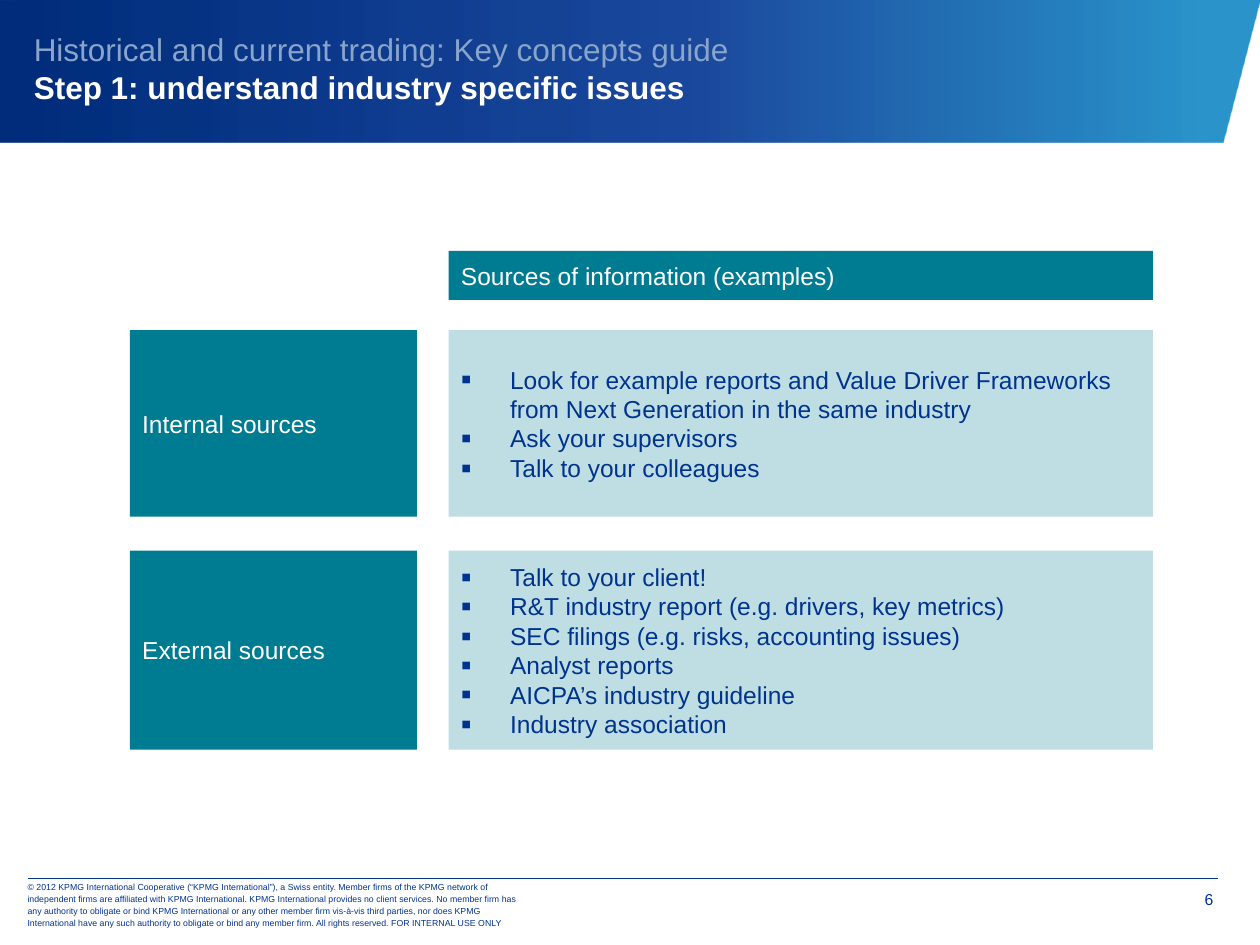
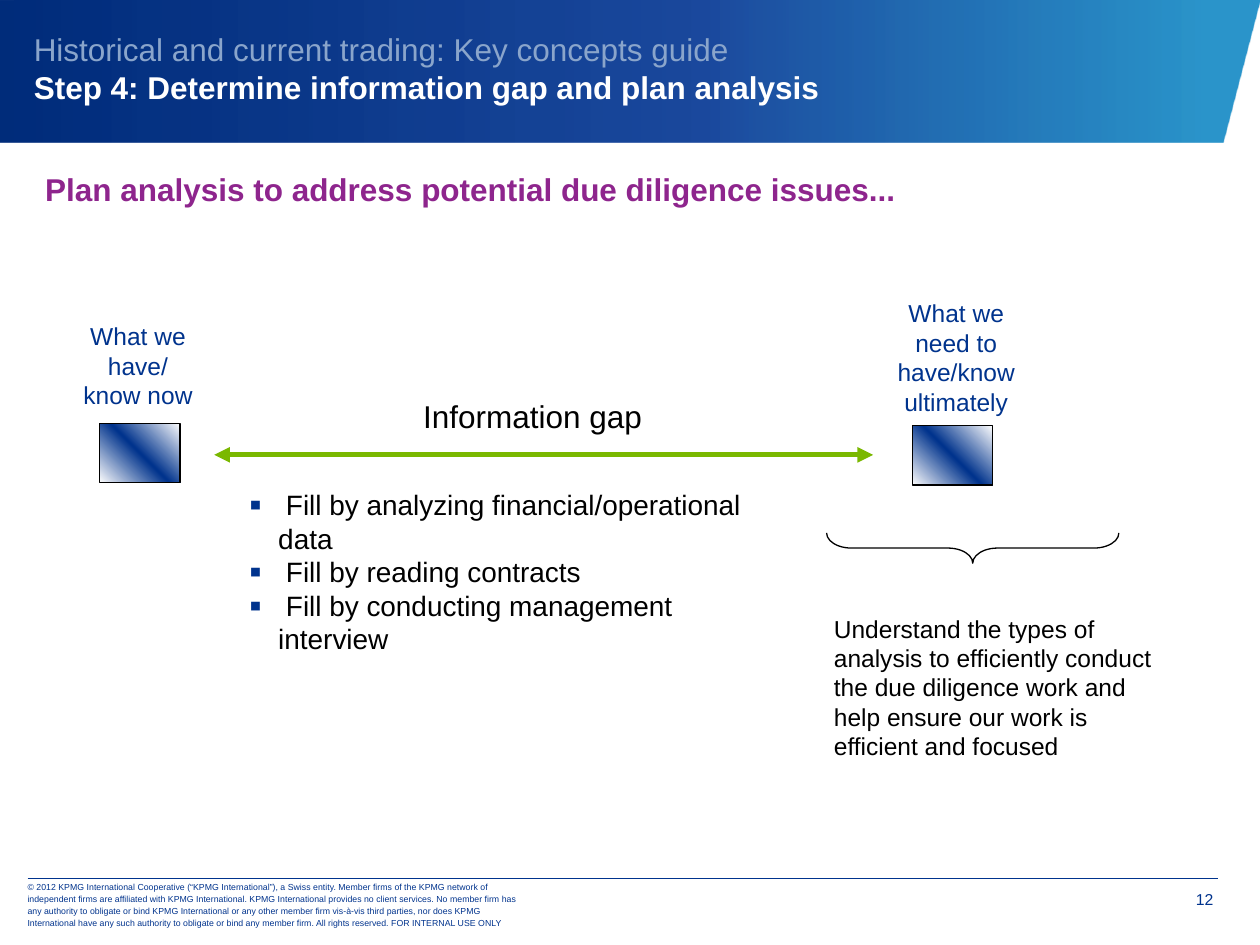
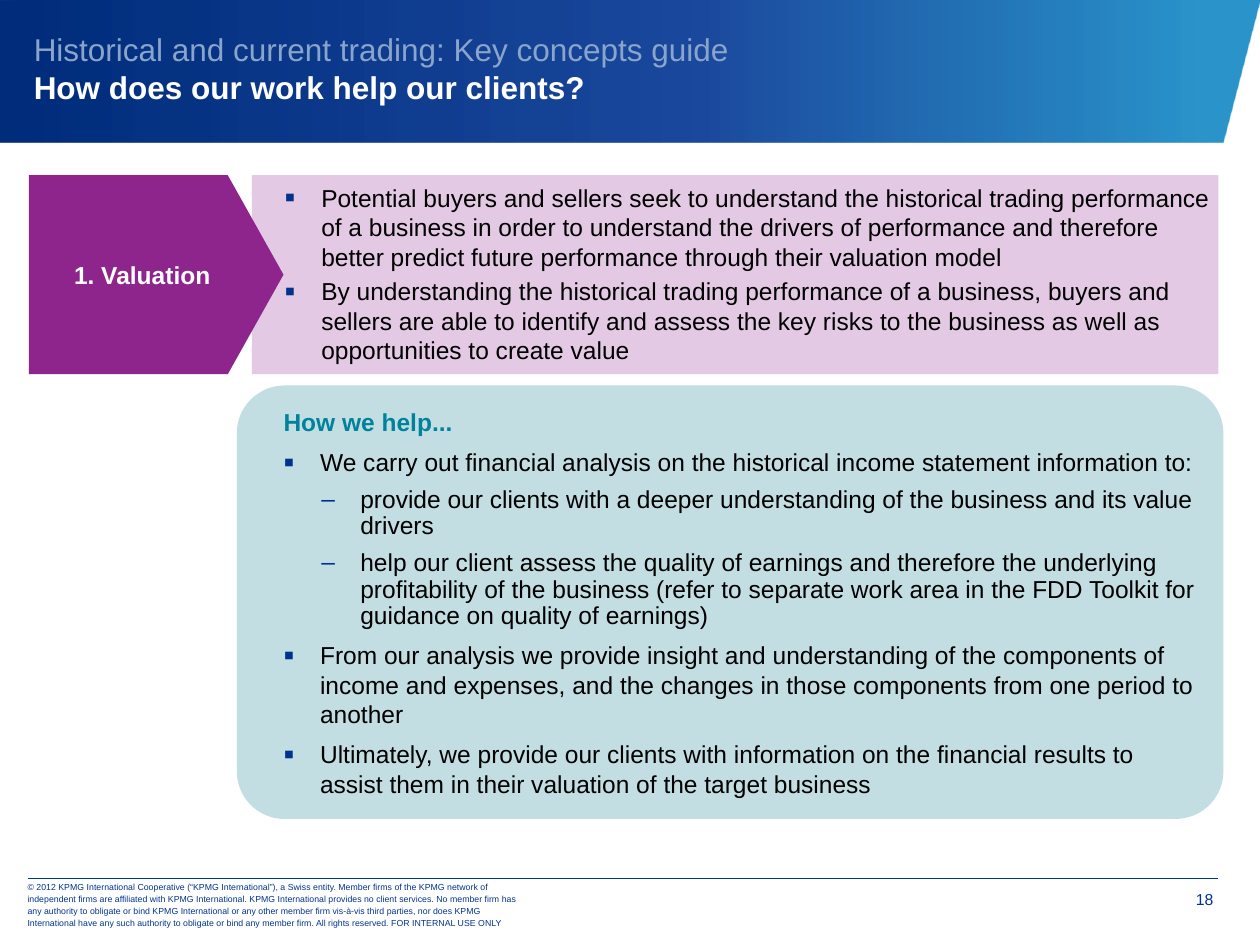
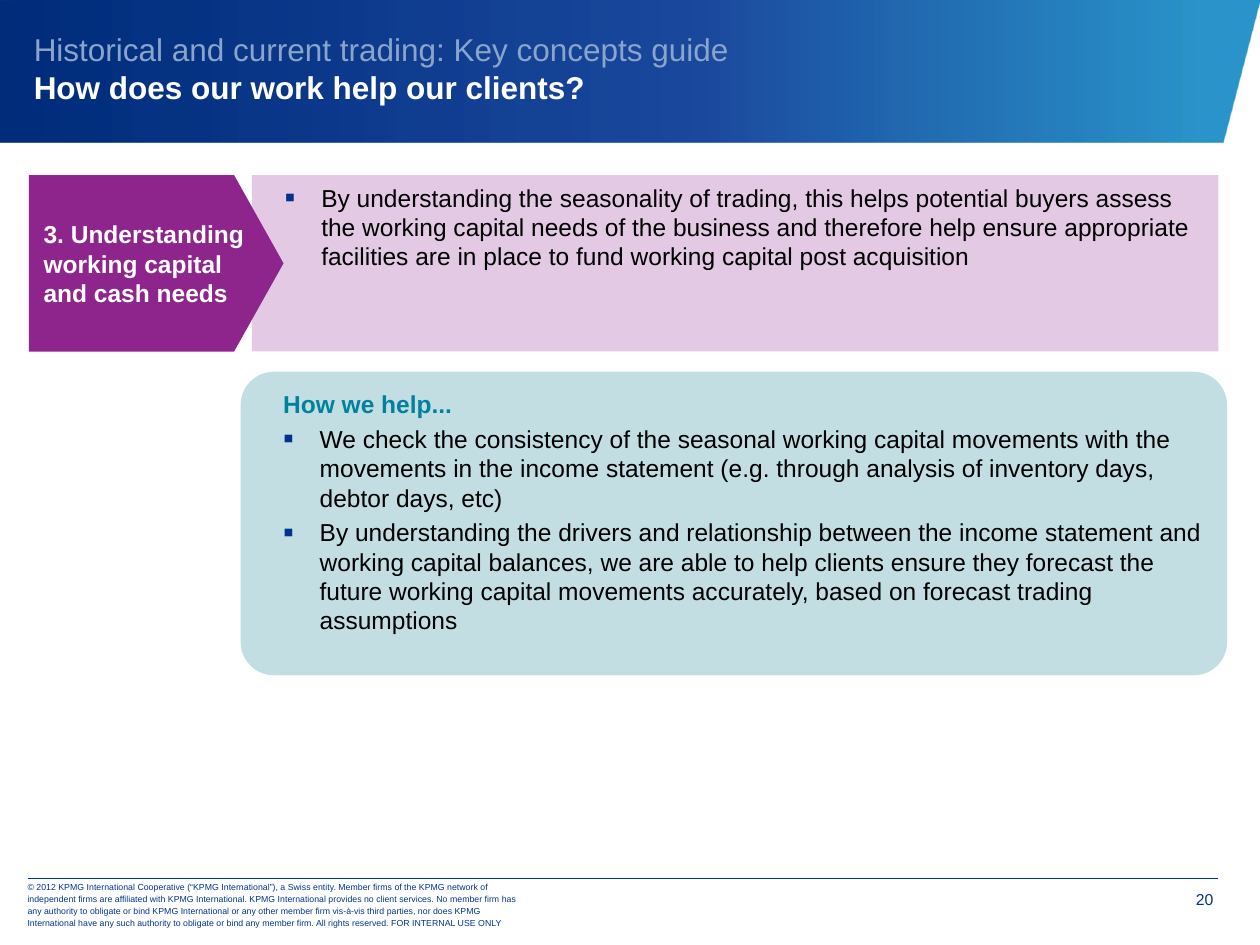
from lxml import etree
from pptx import Presentation
from pptx import util as u
from pptx.dml.color import RGBColor
from pptx.enum import shapes, text
from pptx.oxml import ns

FONT = "Arial"
NAVY, TEAL, PALE_TEAL, MINT = "00338D", "007C92", "BFDEE4", "C3DEE2"
HEADING_TEAL, PURPLE, LILAC = "00829C", "8E258D", "E3C9E3"
GREEN, GREY_BLUE, WHITE, BLACK = "7AB800", "8AA5CB", "FFFFFF", "000000"
BAND_STOPS = [(4, "0080C0", 83), (44, "003492", 89), (100, "002C7A", 100)]
TILE_STOPS = [(0, WHITE, 100), (50, NAVY, 100), (100, WHITE, 100)]

SECTION = "Historical and current trading: Key concepts guide"
COPYRIGHT = (
    "© 2012 KPMG International Cooperative (“KPMG International”), a Swiss entity. "
    "Member firms of the KPMG network of independent firms are affiliated with KPMG "
    "International. KPMG International provides no client services. No member firm has "
    "any authority to obligate or bind KPMG International or any other member firm "
    "vis-à-vis third parties, nor does KPMG International have any such authority to "
    "obligate or bind any member firm. All rights reserved. FOR INTERNAL USE ONLY")

# Paragraph styles: indent is (left margin, first line)
SOURCE = dict(indent=(0.39, -0.39), bullet="▪", color=NAVY)
GAP_FILLER = dict(indent=(0.23, -0.23), bullet="▪", size=16)
HEADING = dict(indent=(0.49, -0.29), color=HEADING_TEAL, bold=True)
POINT = dict(indent=(0.49, -0.29), bullet="▪", before=3)
WIDE_POINT = dict(POINT, before=6)
DASH = dict(indent=(0.81, -0.31), bullet="–", before=6, spacing=0.9)
LABEL = dict(color=WHITE)
CENTERED = dict(color=NAVY, align=text.PP_ALIGN.CENTER)

SOURCES_HEADER = "Sources of information (examples)"
SOURCES = [  # label, top, height, examples
    ("Internal sources", 2.62, 1.48, [
        "Look for example reports and Value Driver Frameworks from Next Generation "
        "in the same industry",
        "Ask your supervisors",
        "Talk to your colleagues"]),
    ("External sources", 4.37, 1.58, [
        "Talk to your client!",
        "R&T industry report (e.g. drivers, key metrics)",
        "SEC filings (e.g. risks, accounting issues)",
        "Analyst reports",
        "AICPA’s industry guideline",
        "Industry association"]),
]

GAP_ENDS = [  # tile corner, caption box, caption paragraphs
    ((0.79, 3.36), (0.54, 2.5, 1.11, 0.81), ["What we have/ know now"]),
    ((7.24, 3.38), (6.91, 2.32, 1.36, 1.04), ["What we need to have/know", "ultimately"]),
]
GAP_FILLERS = [
    " Fill by analyzing financial/operational data",
    " Fill by reading contracts",
    " Fill by conducting management interview",
]
GAP_PURPOSE = ("Understand the types of analysis to efficiently conduct the due diligence "
               "work and help ensure our work is efficient and focused")

VALUATION = dict(
    label="1. Valuation", height=1.58, help_at=(1.88, 3.06, 7.83, 3.44),
    needs=[
        "Potential buyers and sellers seek to understand the historical trading "
        "performance of a business in order to understand the drivers of performance and "
        "therefore better predict future performance through their valuation model",
        "By understanding the historical trading performance of a business, buyers and "
        "sellers are able to identify and assess the key risks to the business as well as "
        "opportunities to create value"],
    help=[
        (WIDE_POINT, "We carry out financial analysis on the historical income statement "
                     "information to:"),
        (DASH, "provide our clients with a deeper understanding of the business and its "
               "value drivers"),
        (DASH, "help our client assess the quality of earnings and therefore the underlying "
               "profitability of the business (refer to separate work area in the FDD "
               "Toolkit for guidance on quality of earnings)"),
        (WIDE_POINT, "From our analysis we provide insight and understanding of the "
                     "components of income and expenses, and the changes in those "
                     "components from one period to another"),
        (WIDE_POINT, "Ultimately, we provide our clients with information on the financial "
                     "results to assist them in their valuation of the target business")])
WORKING_CAPITAL = dict(
    label="3. Understanding working capital and cash needs", height=1.4,
    help_at=(1.91, 2.95, 7.83, 2.41),
    needs=[
        "By understanding the seasonality of trading, this helps potential buyers assess "
        "the working capital needs of the business and therefore help ensure appropriate "
        "facilities are in place to fund working capital post acquisition"],
    help=[
        (POINT, "We check the consistency of the seasonal working capital movements with "
                "the movements in the income statement (e.g. through analysis of inventory "
                "days, debtor days, etc)"),
        (POINT, "By understanding the drivers and relationship between the income statement "
                "and working capital balances, we are able to help clients ensure they "
                "forecast the future working capital movements accurately, based on "
                "forecast trading assumptions")])


def rgb(color):
    return RGBColor.from_string(color)


def add_xml(parent, tag, **attributes):
    return etree.SubElement(parent, ns.qn(tag), attributes)


def fill_gradient(shape, stops, angle):
    """Fill with (percent, colour, opacity) stops; the angle runs clockwise."""
    shape.fill.gradient()
    gradient = shape._element.spPr.find(ns.qn("a:gradFill"))
    for child in list(gradient):
        gradient.remove(child)
    stop_list = add_xml(gradient, "a:gsLst")
    for position, color, opacity in stops:
        stop = add_xml(stop_list, "a:gs", pos=str(position * 1000))
        tint = add_xml(stop, "a:srgbClr", val=color)
        if opacity < 100:
            add_xml(tint, "a:alpha", val=str(opacity * 1000))
    add_xml(gradient, "a:lin", ang=str(angle * 60000), scaled="0")


def style_paragraph(para, size=14, color=BLACK, bold=False, align=text.PP_ALIGN.LEFT,
                    indent=None, bullet=None, before=0, spacing=None):
    properties = para._p.get_or_add_pPr()
    if indent:
        for name, inches in zip(("marL", "indent"), indent):
            properties.set(name, str(u.Inches(inches)))
    if bullet:
        add_xml(add_xml(properties, "a:buClr"), "a:srgbClr", val=NAVY)
        add_xml(properties, "a:buSzPct", val="125000" if bullet == "▪" else "100000")
        add_xml(properties, "a:buFont", typeface=FONT)
        add_xml(properties, "a:buChar", char=bullet)
    para.alignment = align
    if before:
        para.space_before = u.Pt(before)
    if spacing:
        para.line_spacing = spacing
    para.font.name, para.font.size, para.font.bold = FONT, u.Pt(size), bold
    para.font.color.rgb = rgb(color)


def write(box, items, middle=False, insets=(0.1, 0.05, 0.1, 0.05)):
    """Write (style, words) items, one paragraph each."""
    frame = box.text_frame
    frame.word_wrap = True
    frame.vertical_anchor = text.MSO_ANCHOR.MIDDLE if middle else text.MSO_ANCHOR.TOP
    (frame.margin_left, frame.margin_top,
     frame.margin_right, frame.margin_bottom) = map(u.Inches, insets)
    for number, (style, words) in enumerate(items):
        para = frame.add_paragraph() if number else frame.paragraphs[0]
        if number == 0:
            style = dict(style, before=0)
        style_paragraph(para, **style)
        para.add_run().text = words


def add_text(page, at, items, **options):
    box = page.shapes.add_textbox(*map(u.Inches, at))
    write(box, items, **options)
    return box


def add_block(page, kind, at, fill=None, line=None, adjust=()):
    block = page.shapes.add_shape(kind, *map(u.Inches, at))
    block.shadow.inherit = False
    for number, value in enumerate(adjust):
        block.adjustments[number] = value
    if fill:
        block.fill.solid()
        block.fill.fore_color.rgb = rgb(fill)
    else:
        block.fill.background()
    if line:
        block.line.color.rgb = rgb(line)
        block.line.width = u.Pt(0.75)
    else:
        block.line.fill.background()
    return block


def add_line(page, start, end, color, width, arrows=False):
    line = page.shapes.add_connector(shapes.MSO_CONNECTOR.STRAIGHT,
                                     *map(u.Inches, start + end))
    line.line.color.rgb = rgb(color)
    line.line.width = u.Pt(width)
    if arrows:
        for tag in ("a:headEnd", "a:tailEnd"):
            add_xml(line.line._get_or_add_ln(), tag, type="triangle")
    add_xml(line._element.spPr, "a:effectLst")


def add_page(deck, title, number):
    """Add a page with the title band, the footer and its number."""
    page = deck.slides.add_slide(deck.slide_layouts[6])
    outline = page.shapes.build_freeform(-1, 113, scale=u.Inches(0.01))
    outline.add_line_segments([(970, 113), (1000, -1), (-1, 0)], close=True)
    band = outline.convert_to_shape()
    band.shadow.inherit = False
    band.line.fill.background()
    fill_gradient(band, BAND_STOPS, 180)

    add_text(page, (9.08, 6.98, 0.55, 0.31),
             [(dict(size=9, color=NAVY, align=text.PP_ALIGN.RIGHT), str(number))],
             insets=(0.08, 0.08, 0, 0))
    add_text(page, (0.12, 7, 4.15, 0.35),
             [(dict(size=5, color=NAVY, spacing=u.Pt(7)), COPYRIGHT)], middle=True)
    add_line(page, (0.22, 6.97), (9.67, 6.97), NAVY, 0.25)

    heading = add_text(page, (0.17, 0, 9.83, 1.08),
                       [(dict(size=18, color=GREY_BLUE), SECTION)], middle=True)
    para = heading.text_frame.paragraphs[0]
    para.add_line_break()
    span = para.add_run()
    span.text = title
    span.font.bold = True
    span.font.color.rgb = rgb(WHITE)
    return page


def add_sources(page):
    rectangle = shapes.MSO_SHAPE.RECTANGLE
    label_left, label_width, left, width = 1.03, 2.28, 3.56, 5.59
    header = add_block(page, rectangle, (left, 1.99, width, 0.39), TEAL)
    write(header, [(LABEL, SOURCES_HEADER)], middle=True)
    for label, top, height, examples in SOURCES:
        name = add_block(page, rectangle, (label_left, top, label_width, height), TEAL)
        write(name, [(LABEL, label)], middle=True)
        panel = add_block(page, rectangle, (left, top, width, height), PALE_TEAL)
        write(panel, [(SOURCE, example) for example in examples], middle=True)


def add_information_gap(page):
    add_text(page, (0.26, 1.3, 9.42, 0.4),
             [(dict(size=18, color=PURPLE, bold=True),
               "Plan analysis to address potential due diligence issues...")])
    for corner, caption_at, caption in GAP_ENDS:
        tile = add_block(page, shapes.MSO_SHAPE.RECTANGLE, corner + (0.64, 0.47), line=BLACK)
        fill_gradient(tile, TILE_STOPS, 315)
        add_text(page, caption_at, [(CENTERED, words) for words in caption])
    add_line(page, (1.7, 3.61), (6.93, 3.61), GREEN, 3, arrows=True)
    add_text(page, (3.26, 3.1, 2.09, 0.4), [(dict(size=18), "Information gap")])
    add_text(page, (1.88, 3.82, 4.49, 0.91), [(GAP_FILLER, words) for words in GAP_FILLERS])
    brace = add_block(page, shapes.MSO_SHAPE.RIGHT_BRACE, (7.6, 3.19, 0.24, 2.32),
                      line=BLACK, adjust=(0.82, 0.5))
    brace.rotation = 90
    add_text(page, (6.52, 4.82, 2.73, 1.28), [({}, GAP_PURPOSE)])


def add_client_benefit(page, label, height, help_at, needs, help):
    top, insets = 1.39, (0.06,) * 4
    panel = add_block(page, shapes.MSO_SHAPE.ROUNDED_RECTANGLE, help_at, MINT, adjust=(0.11,))
    write(panel, [(HEADING, "How we help...")] + help, insets=insets)
    strip = add_block(page, shapes.MSO_SHAPE.RECTANGLE, (2, top, 7.67, height), LILAC)
    write(strip, [(POINT, need) for need in needs], insets=insets)
    arrow = add_block(page, shapes.MSO_SHAPE.PENTAGON, (0.23, top, 2.02, height), PURPLE,
                      adjust=(0.28,))
    write(arrow, [(dict(LABEL, bold=True), label)], middle=True, insets=insets)
    arrow.text_frame._txBody.bodyPr.set("anchorCtr", "1")


def main():
    deck = Presentation()
    deck.slide_width, deck.slide_height = u.Inches(10), u.Inches(7.5)
    add_sources(add_page(deck, "Step 1: understand industry specific issues", 6))
    add_information_gap(add_page(deck, "Step 4: Determine information gap and plan analysis", 12))
    for number, benefit in ((18, VALUATION), (20, WORKING_CAPITAL)):
        page = add_page(deck, "How does our work help our clients?", number)
        add_client_benefit(page, **benefit)
    deck.save("out.pptx")


if __name__ == "__main__":
    main()
